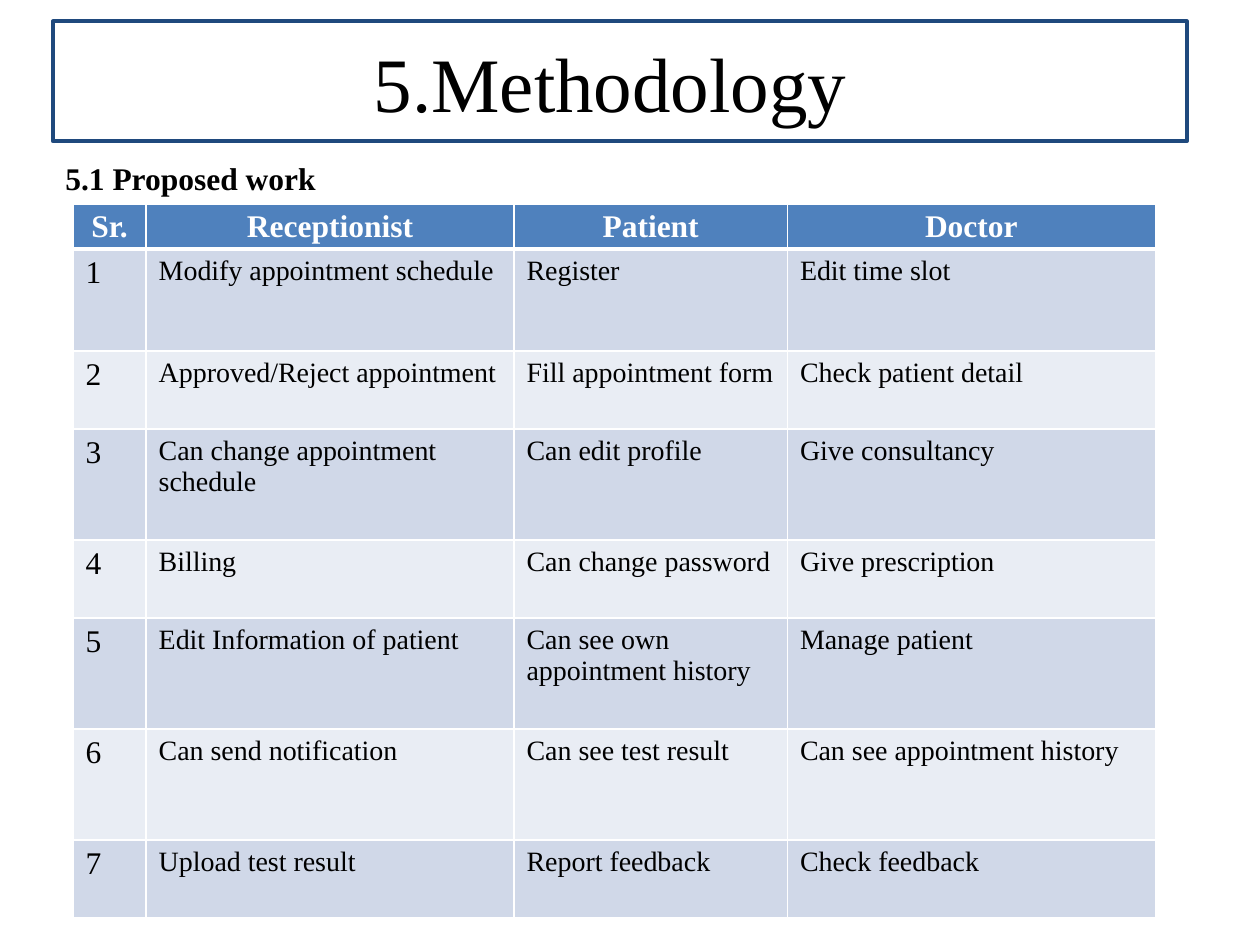
from typing import NamedTuple

from lxml import etree
from pptx import Presentation
from pptx.dml.color import RGBColor
from pptx.enum.shapes import MSO_SHAPE
from pptx.enum.text import MSO_ANCHOR, MSO_AUTO_SIZE, PP_ALIGN
from pptx.oxml.ns import qn
from pptx.util import Inches, Pt

RECT = MSO_SHAPE.RECTANGLE
MIDDLE = MSO_ANCHOR.MIDDLE
LEFT, CENTER = PP_ALIGN.LEFT, PP_ALIGN.CENTER
FIT_SHAPE = MSO_AUTO_SIZE.SHAPE_TO_FIT_TEXT
FONT = "Times New Roman"
COLORS = {
    "text": "000000",
    "white": "FFFFFF",
    "frame": "1F497D",
    "header": "4F81BD",
    "odd": "D0D8E8",
    "even": "E9EDF4",
}


class TaskRow(NamedTuple):
    receptionist: str
    patient: str
    doctor: str
    height: float


HEADER = ("Sr.", "Receptionist", "Patient", "Doctor")
HEADER_HEIGHT = 0.35
COL_WIDTHS = (0.58, 2.92, 2.17, 2.92)
TASKS = (
    TaskRow("Modify appointment schedule", "Register", "Edit time slot", 0.81),
    TaskRow("Approved/Reject appointment", "Fill appointment form",
            "Check patient detail", 0.62),
    TaskRow("Can change appointment schedule", "Can edit profile",
            "Give consultancy", 0.88),
    TaskRow("Billing", "Can change password", "Give prescription", 0.62),
    TaskRow("Edit Information of patient", "Can see own appointment history",
            "Manage patient", 0.88),
    TaskRow("Can send notification", "Can see test result",
            "Can see appointment history", 0.88),
    TaskRow("Upload test result", "Report feedback", "Check feedback", 0.62),
)


def rgb(name: str) -> RGBColor:
    return RGBColor.from_string(COLORS[name])


def set_text(tf, text: str, *, size: float, color: str = "text",
             bold: bool = False, align=LEFT) -> None:
    p = tf.paragraphs[0]
    p.alignment = align
    r = p.add_run()
    r.text = text
    r.font.name = FONT
    r.font.size = Pt(size)
    r.font.bold = bold
    r.font.color.rgb = rgb(color)


def set_borders(cell, widths: dict[str, float]) -> None:
    tc_pr = cell._tc.get_or_add_tcPr()
    for i, (side, width) in enumerate(widths.items()):
        ln = etree.Element(qn(f"a:ln{side}"), w=str(Pt(width)))
        fill = etree.SubElement(ln, qn("a:solidFill"))
        etree.SubElement(fill, qn("a:srgbClr"), val=COLORS["white"])
        tc_pr.insert(i, ln)


def add_title(slide, text: str) -> None:
    sp = slide.shapes.add_shape(RECT, Inches(0.42), Inches(0.17),
                                Inches(9), Inches(0.95))
    sp.shadow.inherit = False
    sp.fill.background()
    sp.line.color.rgb = rgb("frame")
    sp.line.width = Pt(2.25)
    tf = sp.text_frame
    tf.word_wrap = True
    tf.vertical_anchor = MIDDLE
    set_text(tf, text, size=44, align=CENTER)


def add_heading(slide, text: str) -> None:
    sp = slide.shapes.add_textbox(Inches(0.42), Inches(1.21),
                                  Inches(2.21), Inches(0.4))
    tf = sp.text_frame
    tf.word_wrap = False
    tf.auto_size = FIT_SHAPE
    set_text(tf, text, size=18, bold=True)


def add_task_table(slide) -> None:
    heights = [HEADER_HEIGHT] + [task.height for task in TASKS]
    rows = [HEADER] + [(str(n), *task[:3]) for n, task in enumerate(TASKS, 1)]
    table = slide.shapes.add_table(
        len(rows), len(COL_WIDTHS), Inches(0.58), Inches(1.62),
        Inches(sum(COL_WIDTHS)), Inches(sum(heights))).table
    for column, width in zip(table.columns, COL_WIDTHS):
        column.width = Inches(width)
    for i, (texts, height) in enumerate(zip(rows, heights)):
        table.rows[i].height = Inches(height)
        for j, text in enumerate(texts):
            cell = table.cell(i, j)
            cell.fill.solid()
            if i == 0:
                cell.fill.fore_color.rgb = rgb("header")
                cell.margin_top = cell.margin_bottom = Inches(0.04)
                set_text(cell.text_frame, text, size=18, color="white",
                         bold=True, align=CENTER)
            else:
                cell.fill.fore_color.rgb = rgb("odd" if i % 2 else "even")
                set_text(cell.text_frame, text, size=16 if j else 18)
            set_borders(cell, {"L": 1, "R": 1, "T": 3 if i == 1 else 1,
                               "B": 3 if i == 0 else 1})


def main() -> None:
    prs = Presentation()
    prs.slide_width, prs.slide_height = Inches(10), Inches(7.5)
    s = prs.slides.add_slide(prs.slide_layouts[6])
    add_task_table(s)
    add_title(s, "5.Methodology ")
    add_heading(s, "5.1 Proposed work")
    prs.save("out.pptx")


if __name__ == "__main__":
    main()
